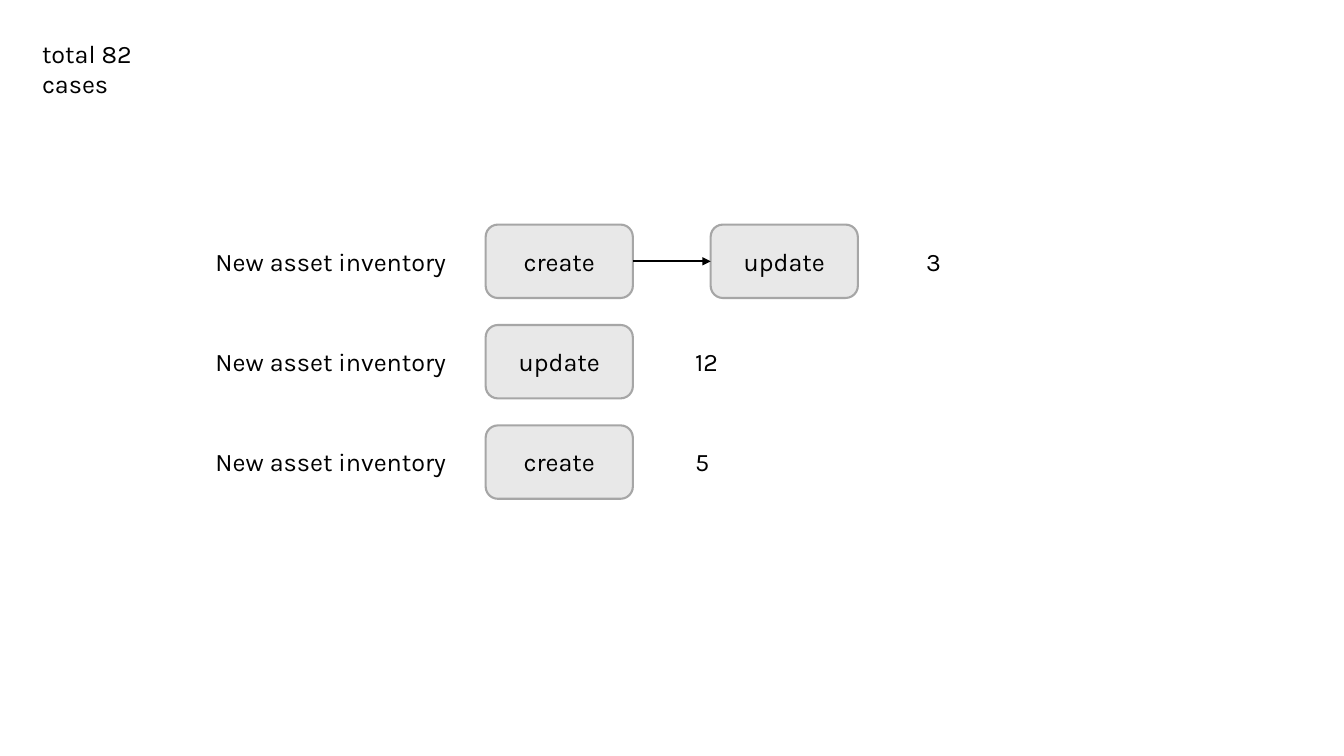
from lxml import etree
from pptx import Presentation
from pptx.dml.color import RGBColor
from pptx.enum.shapes import MSO_CONNECTOR, MSO_SHAPE
from pptx.enum.text import MSO_AUTO_SIZE, PP_ALIGN
from pptx.oxml.ns import qn
from pptx.util import Cm, Pt

ROUNDED = MSO_SHAPE.ROUNDED_RECTANGLE
STRAIGHT = MSO_CONNECTOR.STRAIGHT
LEFT, CENTER = PP_ALIGN.LEFT, PP_ALIGN.CENTER
FIT_SHAPE = MSO_AUTO_SIZE.SHAPE_TO_FIT_TEXT

FONT = "Karla"
BLACK, BOX_FILL, BOX_EDGE = "000000", "E8E8E8", "A6A6A6"
FIRST_ROW, ROW_PITCH = 5.66, 2.53
STEP_LEFT, STEP_PITCH, STEP_WIDTH, STEP_HEIGHT = 12.24, 5.67, 3.71, 1.85
CAPTION_DROP, CAPTION_HEIGHT = 0.41, 1.02
CASE_LEFT, CASE_WIDTH = 5.18, 6.76
COUNT_WIDTH = 1.7

FLOWS = [
    ("New asset inventory", ["create", "update"], "3", 23.09),
    ("New asset inventory", ["update"], "12", 17.27),
    ("New asset inventory", ["create"], "5", 17.27),
]


def rgb(value):
    """Turn a hex string into a colour."""
    return RGBColor.from_string(value)


def add_caption(slide, text, left, top, width, align=LEFT):
    """Add a line of text that wraps within its width."""
    caption = slide.shapes.add_textbox(Cm(left), Cm(top), Cm(width), Cm(CAPTION_HEIGHT))
    frame = caption.text_frame
    frame.word_wrap = True
    frame.auto_size = FIT_SHAPE
    paragraph = frame.paragraphs[0]
    paragraph.alignment = align
    run = paragraph.add_run()
    run.text = text
    run.font.name = FONT
    run.font.size = Pt(18)
    run.font.color.rgb = rgb(BLACK)


def add_step(slide, text, left, top):
    """Add a rounded step box with its centred caption."""
    step = slide.shapes.add_shape(ROUNDED, Cm(left), Cm(top), Cm(STEP_WIDTH), Cm(STEP_HEIGHT))
    step.shadow.inherit = False
    step.fill.solid()
    step.fill.fore_color.rgb = rgb(BOX_FILL)
    step.line.color.rgb = rgb(BOX_EDGE)
    step.line.width = Pt(1.5)
    add_caption(slide, text, left, top + CAPTION_DROP, STEP_WIDTH, CENTER)
    return step


def add_arrow(slide, source, target):
    """Join the right side of one step to the left side of the next."""
    arrow = slide.shapes.add_connector(STRAIGHT, 0, 0, 0, 0)
    arrow.begin_connect(source, 3)
    arrow.end_connect(target, 1)
    arrow.line.color.rgb = rgb(BLACK)
    arrow.line.width = Pt(1.5)
    etree.SubElement(arrow.line._get_or_add_ln(), qn("a:tailEnd"), type="triangle")
    etree.SubElement(arrow._element.spPr, qn("a:effectLst"))


def add_flow(slide, top, case, step_names, count, count_left):
    """Add one row: the case, its chain of steps and the count."""
    add_caption(slide, case, CASE_LEFT, top + CAPTION_DROP, CASE_WIDTH)
    steps = [
        add_step(slide, name, STEP_LEFT + index * STEP_PITCH, top)
        for index, name in enumerate(step_names)
    ]
    for source, target in zip(steps, steps[1:]):
        add_arrow(slide, source, target)
    add_caption(slide, count, count_left, top + CAPTION_DROP, COUNT_WIDTH)


def main():
    """Build the slide and save it."""
    deck = Presentation()
    deck.slide_width, deck.slide_height = Cm(33.87), Cm(19.05)
    slide = deck.slides.add_slide(deck.slide_layouts[6])
    add_caption(slide, "total 82 cases", 0.81, 0.84, 4.37)
    for row, flow in enumerate(FLOWS):
        add_flow(slide, FIRST_ROW + row * ROW_PITCH, *flow)
    deck.save("out.pptx")


if __name__ == "__main__":
    main()
